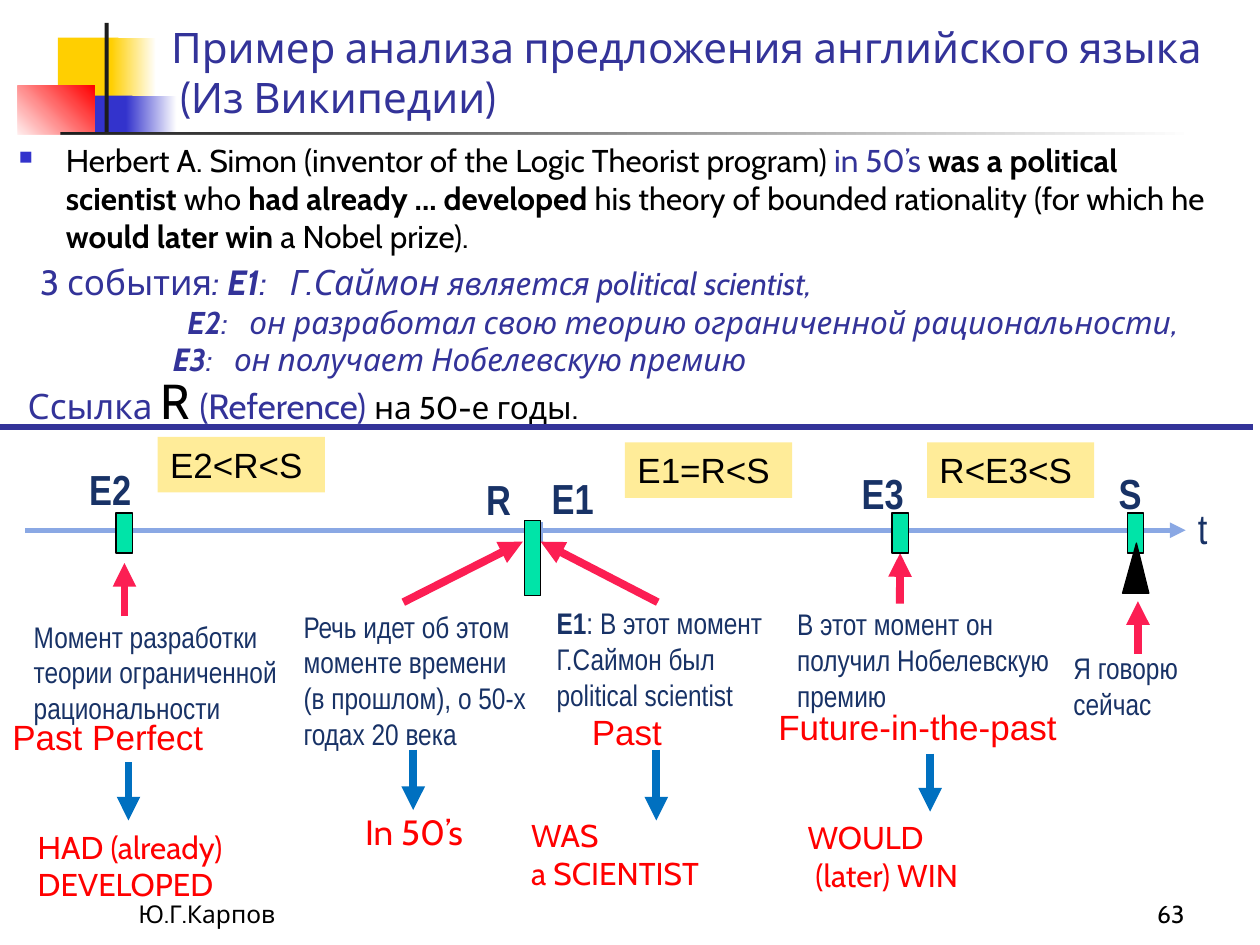
from lxml import etree
from pptx import Presentation
from pptx.dml.color import RGBColor
from pptx.enum import shapes, text
from pptx.oxml import ns
from pptx.util import Cm, Pt

NAVY, RED, BLACK, WHITE, INK = "333399", "FF0000", "000000", "FFFFFF", "183266"
YELLOW, VIOLET, CHARCOAL = "FFCF01", "3333CC", "1C1C1C"
AXIS, PINK, BLUE, GREEN, CREAM = "8AA8E4", "FC1E53", "0070C0", "00E4A8", "FFEC99"
rgb = RGBColor.from_string


def add_box(left, top, width, height, anchor=text.MSO_ANCHOR.TOP, fill=None):
    box = slide.shapes.add_textbox(Cm(left), Cm(top), Cm(width), Cm(height))
    box.text_frame.word_wrap = True
    box.text_frame.vertical_anchor = anchor
    if fill:
        box.fill.solid()
        box.fill.fore_color.rgb = rgb(fill)
    return box.text_frame


def write(content, frame, size=18, font="Cabin", ink=BLACK, bold=False, italic=False,
          next_indent=0):
    for index, line in enumerate(content.split("\n")):
        paragraph = frame.add_paragraph() if index else frame.paragraphs[-1]
        if index and next_indent:
            paragraph._p.get_or_add_pPr().set("indent", str(Cm(next_indent)))
        run = paragraph.add_run()
        run.text = line
        run.font.name = font
        run.font.size = Pt(size)
        run.font.color.rgb = rgb(ink)
        run.font.bold = bold
        run.font.italic = italic


presentation = Presentation()
presentation.slide_width = Cm(25.4)
presentation.slide_height = Cm(19.05)
slide = presentation.slides.add_slide(presentation.slide_layouts[6])

decorations = [
    (1.17, 0.76, 1.22, 1.32, [YELLOW], 0),
    (2.24, 0.76, 0.91, 1.32, [YELLOW, WHITE], 0),
    (1.5, 1.93, 1.17, 1.32, [VIOLET], 0),
    (2.54, 1.93, 1.02, 1.32, [VIOLET, WHITE], 0),
    (0.36, 1.73, 1.55, 1.17, [WHITE, RED], 45),
    (2.11, 0.46, 0.08, 2.92, [CHARCOAL], 0),
    (1.22, 2.67, 22.86, 0.08, [CHARCOAL, WHITE], 0),
]
for left, top, width, height, colors, angle in decorations:
    decoration = slide.shapes.add_shape(
        shapes.MSO_SHAPE.RECTANGLE, Cm(left), Cm(top), Cm(width), Cm(height))
    decoration.shadow.inherit = False
    decoration.line.fill.background()
    if len(colors) == 1:
        decoration.fill.solid()
        decoration.fill.fore_color.rgb = rgb(colors[0])
    else:
        decoration.fill.gradient()
        decoration.fill.gradient_angle = angle
        for stop, color in zip(decoration.fill.gradient_stops, colors):
            stop.color.rgb = rgb(color)

title = add_box(3.2, 0.56, 21.64, 2.03, text.MSO_ANCHOR.BOTTOM)
write("Пример анализа предложения английского языка\n(Из Википедии)", title, 24,
      ink=NAVY, next_indent=0.18)

sentence = add_box(0.13, 2.72, 24.94, 2.54, fill=WHITE)
properties = sentence.paragraphs[0]._p.get_or_add_pPr()
properties.set("marL", str(Cm(0.95)))
properties.set("indent", str(Cm(-0.95)))
bullet_color = etree.SubElement(properties, ns.qn("a:buClr"))
etree.SubElement(bullet_color, ns.qn("a:srgbClr"), val=VIOLET)
etree.SubElement(properties, ns.qn("a:buSzPct"), val="60000")
etree.SubElement(properties, ns.qn("a:buChar"), char="■")
for content, ink, bold in [
    ("Herbert A. Simon (inventor of the Logic Theorist program) ", BLACK, False),
    ("in 50’s ", NAVY, False),
    ("was a political scientist ", BLACK, True),
    ("who ", BLACK, False),
    ("had already ... developed ", BLACK, True),
    ("his theory of bounded rationality (for which he ", BLACK, False),
    ("would later win ", BLACK, True),
    ("a Nobel prize).", BLACK, False),
]:
    write(content, sentence, ink=ink, bold=bold)

event_list = add_box(0.23, 5.13, 24.64, 3.4)
event_lines = [
    ((0.33, 5.36), [("\t3 события", 20, False, False), (": ", 20, False, True),
                    ("E1", 20, True, True), (":\tГ.Саймон ", 20, False, True),
                    ("является political scientist,", 18, False, True)]),
    ((3.3, 4.55), [("\tE2", 18, True, True),
                   (":\tон разработал свою теорию ограниченной рациональности,",
                    18, False, True)]),
    ((3, 4.24), [("\tЕ3", 18, True, True),
                 (":\tон получает Нобелевскую премию", 18, False, True)]),
]
for index, (tab_stops, runs) in enumerate(event_lines):
    paragraph = event_list.add_paragraph() if index else event_list.paragraphs[0]
    tab_list = etree.SubElement(paragraph._p.get_or_add_pPr(), ns.qn("a:tabLst"))
    for position in tab_stops:
        etree.SubElement(tab_list, ns.qn("a:tab"), pos=str(Cm(position)), algn="l")
    for content, size, bold, italic in runs:
        write(content, event_list, size, ink=NAVY, bold=bold, italic=italic)

reference = add_box(0, 7.34, 24.74, 1.45)
reference.paragraphs[0]._p.get_or_add_pPr().set("indent", str(Cm(0.31)))
for content, size, ink in [
    ("Ссылка ", 20, NAVY), ("R", 28, BLACK), (" ", 24, BLACK),
    ("(Reference) ", 20, NAVY), ("на 50-е годы.", 18, BLACK),
]:
    write(content, reference, size, ink=ink)

for left, content, alignment in [
    (2.54, "Ю.Г.Карпов", text.PP_ALIGN.LEFT), (18.85, "63", text.PP_ALIGN.RIGHT),
]:
    footer = add_box(left, 17.58, 5.28, 1.27, text.MSO_ANCHOR.BOTTOM)
    footer.paragraphs[0].alignment = alignment
    write(content, footer, 14)

AXIS_Y, REFERENCE_ARROW_Y, E3_X = 10.69, 10.92, 18.14
divider = (0, 8.61, 25.25, 8.61)
time_axis = (0.51, AXIS_Y, 23.9, AXIS_Y)
reference_tick = (10.9, 10.52, 10.9, REFERENCE_ARROW_Y)
e3_arrow = (E3_X, 12.17, E3_X, 11.15)
moment_arrows = [
    (2.51, 12.42, 2.51, 11.35),
    (8.13, 12.14, 10.54, REFERENCE_ARROW_Y),
    (13.26, 12.14, 10.9, REFERENCE_ARROW_Y),
    (22.94, 13.18, 22.94, 12.12),
    e3_arrow,
]
tense_arrows = [(x, top, x, bottom) for x, top, bottom in [
    (2.59, 15.37, 16.54), (8.33, 15.11, 16.33), (13.23, 15.11, 16.54), (18.75, 15.19, 16.36),
]]
connectors = {}
for color, weight, has_arrow, routes in [
    (NAVY, 3, False, [divider]),
    (AXIS, 3, False, [reference_tick]),
    (AXIS, 3, True, [time_axis]),
    (PINK, 4.5, True, moment_arrows),
    (BLUE, 4.5, True, tense_arrows),
]:
    for route in routes:
        connector = slide.shapes.add_connector(
            shapes.MSO_CONNECTOR.STRAIGHT, *[Cm(value) for value in route])
        connector.line.color.rgb = rgb(color)
        connector.line.width = Pt(weight)
        if has_arrow:
            line = connector._element.spPr.get_or_add_ln()
            etree.SubElement(line, ns.qn("a:tailEnd"), type="triangle")
        etree.SubElement(connector._element.spPr, ns.qn("a:effectLst"))
        connectors[route] = connector

markers = {}
for name, left, top, height in [
    ("E2", 2.34, 10.34, 0.81), ("R", 10.57, 10.49, 1.52),
    ("E3", 17.98, 10.34, 0.81), ("S", 22.73, 10.34, 0.81),
]:
    markers[name] = slide.shapes.add_shape(
        shapes.MSO_SHAPE.RECTANGLE, Cm(left), Cm(top), Cm(0.33), Cm(height))
connectors[e3_arrow].end_connect(markers["E3"], 2)

builder = slide.shapes.build_freeform(Cm(22.91), Cm(10.95))
builder.add_line_segments([(Cm(22.63), Cm(11.96)), (Cm(23.16), Cm(11.96))], close=True)
speech_pointer = builder.convert_to_shape()
for shape, color in [(marker, GREEN) for marker in markers.values()] + [(speech_pointer, BLACK)]:
    shape.shadow.inherit = False
    shape.fill.solid()
    shape.fill.fore_color.rgb = rgb(color)
    shape.line.color.rgb = rgb(BLACK)
    shape.line.width = Pt(0.75)

for left, top, content in [
    (3.18, 8.81, "E2<R<S"), (12.6, 8.92, "E1=R<S"), (18.69, 8.92, "R<E3<S"),
]:
    write(content, add_box(left, top, 3.37, 1.12, fill=CREAM), 20, "Arial")

for left, top, width, content in [
    (1.55, 9.22, 1.9, "E2"), (9.55, 9.42, 1.27, "R"), (10.87, 9.4, 1.52, "Е1"),
    (17.12, 9.3, 1.9, "E3"), (22.3, 9.3, 1.27, "S"), (23.9, 10.01, 0.84, "t"),
]:
    write(content, add_box(left, top, width, 1.27), 24, "Arial Narrow", INK, bold=content != "t")

for left, top, width, height, event, explanation in [
    (0.43, 12.34, 5.46, 2.41, "", "Момент разработки теории ограниченной рациональности"),
    (5.87, 12.14, 5.18, 3.15, "",
     "Речь идет об этом моменте времени\n(в прошлом), о 50-х годах 20 века"),
    (10.97, 12.07, 4.88, 2.41, "E1", ": В этот момент Г.Саймон был political scientist"),
    (15.82, 12.09, 5.72, 2.41, "", "В этот момент он получил Нобелевскую премию"),
    (21.39, 12.98, 3.48, 1.7, "", "Я говорю\nсейчас"),
]:
    frame = add_box(left, top, width, height)
    if event:
        write(event, frame, 17, "Arial Narrow", INK, bold=True)
    write(explanation, frame, 17, "Arial Narrow", INK)

for left, top, width, tense in [
    (0, 14.3, 6.6, "Past Perfect"), (11.68, 14.2, 2.74, "Past"),
    (15.44, 14.1, 6.6, "Future-in-the-past"),
]:
    write(tense, add_box(left, top, width, 1.12), 20, "Arial", RED)

for left, top, width, height, size, next_indent, phrase in [
    (0.51, 16.56, 4.6, 2.54, 18, 0, "HAD (already) DEVELOPED"),
    (7.11, 16.21, 2.64, 1.12, 20, 0, "In 50’s"),
    (10.46, 16.33, 5.59, 1.78, 18, 0, "WAS\na SCIENTIST"),
    (16.03, 16.36, 5.21, 1.78, 18, 0.16, "WOULD\n(later) WIN"),
]:
    write(phrase, add_box(left, top, width, height), size, ink=RED, next_indent=next_indent)

presentation.save("out.pptx")
